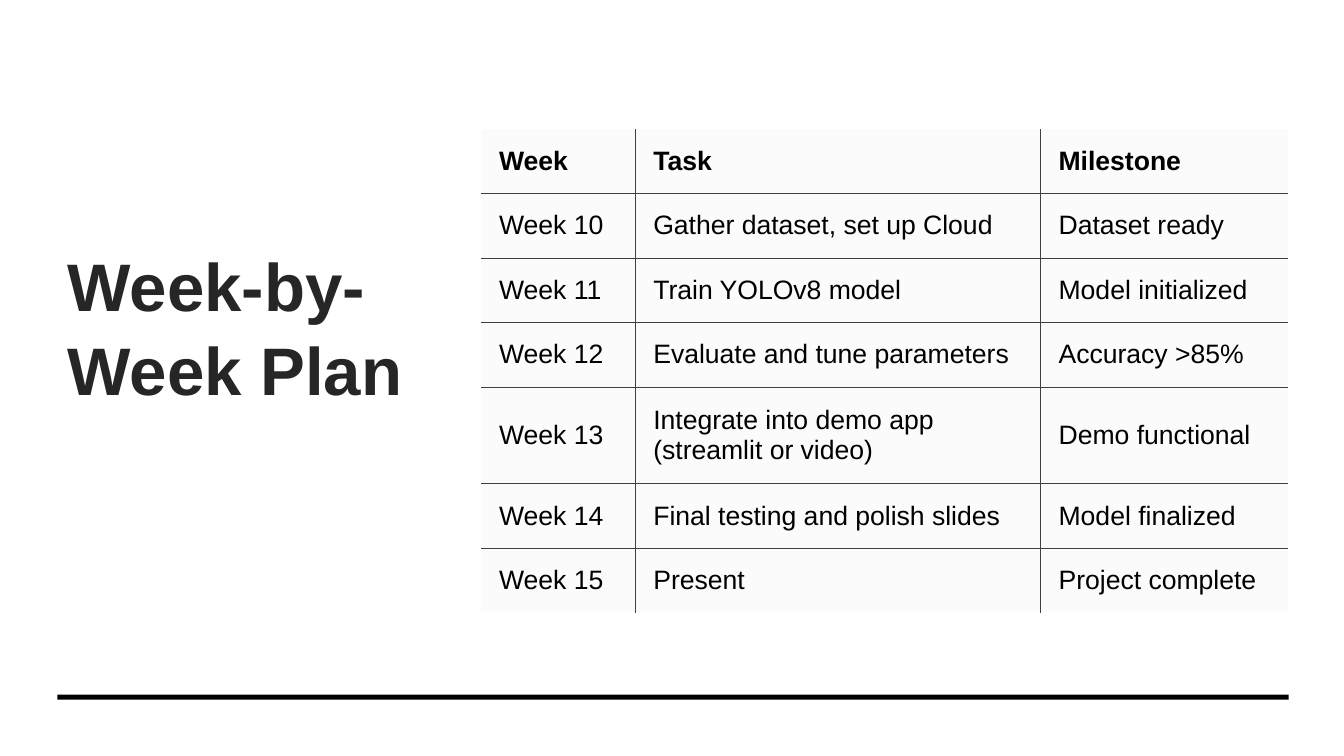
from lxml import etree
from pptx import Presentation
from pptx.dml.color import RGBColor
from pptx.enum.shapes import MSO_SHAPE
from pptx.enum.text import MSO_ANCHOR, MSO_AUTO_SIZE, PP_ALIGN
from pptx.oxml.ns import qn
from pptx.util import Inches, Pt

RECTANGLE = MSO_SHAPE.RECTANGLE
MIDDLE, BOTTOM = MSO_ANCHOR.MIDDLE, MSO_ANCHOR.BOTTOM
NO_FIT = MSO_AUTO_SIZE.NONE
LEFT = PP_ALIGN.LEFT

SLIDE = (13.33, 7.5)
TITLE_AREA = (0.57, 0.92, 3.79, 3.19)
TABLE_AREA = (4.77, 1.28, 8, 4.82)
RULE_AREA = (0.57, 6.89, 12.21, 0.05)
FONT = "Arial"
COLORS = {
    "paper": "FFFFFF",
    "ink": "000000",
    "title": "262626",
    "cell": "F2F2F2",
    "grid": "404040",
}
CELL_OPACITY = 30
GRID_WIDTH = 0.5
PLAIN_STYLE = "{2D5ABB26-0587-4C30-8999-92F81FD0307C}"
COLUMN_WIDTHS = (1.53, 4.02, 2.45)
ROW_HEIGHT = 0.64
ROW_UNITS = (1, 1, 1, 1, 1.5, 1, 1)
PLAN = [
    ("Week", "Task", "Milestone"),
    ("Week 10", "Gather dataset, set up Cloud", "Dataset ready"),
    ("Week 11", "Train YOLOv8 model", "Model initialized"),
    ("Week 12", "Evaluate and tune parameters", "Accuracy >85%"),
    ("Week 13", "Integrate into demo app (streamlit or video)", "Demo functional"),
    ("Week 14", "Final testing and polish slides", "Model finalized"),
    ("Week 15", "Present", "Project complete"),
]


def write_text(frame, text, size, color, bold=False, anchor=MIDDLE, spacing=1.0):
    """Fill a text frame with one formatted, left-aligned paragraph."""
    frame.word_wrap = True
    frame.vertical_anchor = anchor
    para = frame.paragraphs[0]
    para.alignment = LEFT
    para.line_spacing = spacing
    span = para.add_run()
    span.text = text
    span.font.name = FONT
    span.font.size = Pt(size)
    span.font.bold = bold
    span.font.color.rgb = RGBColor.from_string(COLORS[color])


def add_block(page, area, color):
    """Draw a plain filled rectangle."""
    block = page.shapes.add_shape(RECTANGLE, *map(Inches, area))
    block.shadow.inherit = False
    block.fill.solid()
    block.fill.fore_color.rgb = RGBColor.from_string(COLORS[color])
    block.line.fill.background()
    return block


def add_title(page, area, text):
    """Place the slide title in its area."""
    title = page.shapes.title
    title.left, title.top, title.width, title.height = map(Inches, area)
    title.text_frame.auto_size = NO_FIT
    write_text(title.text_frame, text, 48, "title", bold=True, anchor=BOTTOM, spacing=1.04)
    return title


def paint_cell(cell, sides):
    """Give a cell its translucent fill and thin lines on the named sides."""
    cell.fill.solid()
    cell.fill.fore_color.rgb = RGBColor.from_string(COLORS["cell"])
    properties = cell._tc.get_or_add_tcPr()
    tint = properties.find(qn("a:solidFill")).find(qn("a:srgbClr"))
    etree.SubElement(tint, qn("a:alpha"), val=str(CELL_OPACITY * 1000))
    for position, side in enumerate(sides):
        line = etree.Element(qn(f"a:ln{side}"), w=str(Pt(GRID_WIDTH)))
        paint = etree.SubElement(line, qn("a:solidFill"))
        etree.SubElement(paint, qn("a:srgbClr"), val=COLORS["grid"])
        properties.insert(position, line)


def add_plan(page, area, plan):
    """Build the weekly plan as a table with inner grid lines only."""
    last_row, last_column = len(plan) - 1, len(plan[0]) - 1
    frame = page.shapes.add_table(last_row + 1, last_column + 1, *map(Inches, area))
    table = frame.table
    table.first_row = table.horz_banding = False
    table._tbl.tblPr.find(qn("a:tableStyleId")).text = PLAIN_STYLE
    for column, width in zip(table.columns, COLUMN_WIDTHS):
        column.width = Inches(width)
    for row, units in zip(table.rows, ROW_UNITS):
        row.height = Inches(ROW_HEIGHT * units)
    for r, entries in enumerate(plan):
        for c, text in enumerate(entries):
            cell = table.cell(r, c)
            cell.margin_left = Inches(0.18)
            cell.margin_right = cell.margin_top = cell.margin_bottom = Inches(0.14)
            cell.vertical_anchor = MIDDLE
            write_text(cell.text_frame, text, 19, "ink", bold=r == 0)
            inner = {"L": c > 0, "R": c < last_column, "T": r > 0, "B": r < last_row}
            paint_cell(cell, [side for side, shown in inner.items() if shown])


def build_plan_slide(deck):
    """Add the slide with the title at left and the plan at right."""
    page = deck.slides.add_slide(deck.slide_layouts[5])
    title = add_title(page, TITLE_AREA, "Week-by-Week Plan")
    backdrop = add_block(page, (0, 0, *SLIDE), "paper")
    title.element.addprevious(backdrop.element)
    add_block(page, RULE_AREA, "ink")
    add_plan(page, TABLE_AREA, PLAN)


def main():
    """Create and save the deck."""
    deck = Presentation()
    deck.slide_width, deck.slide_height = map(Inches, SLIDE)
    build_plan_slide(deck)
    deck.save("out.pptx")


if __name__ == "__main__":
    main()
